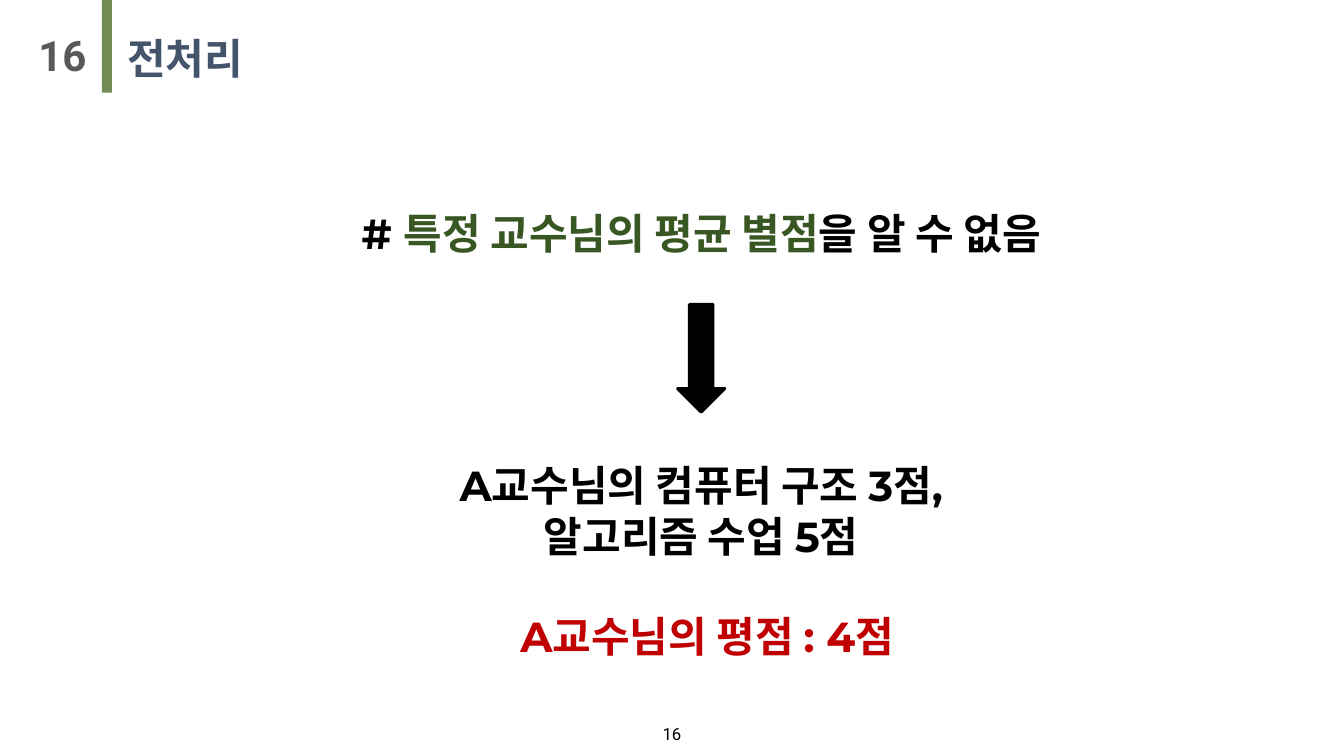
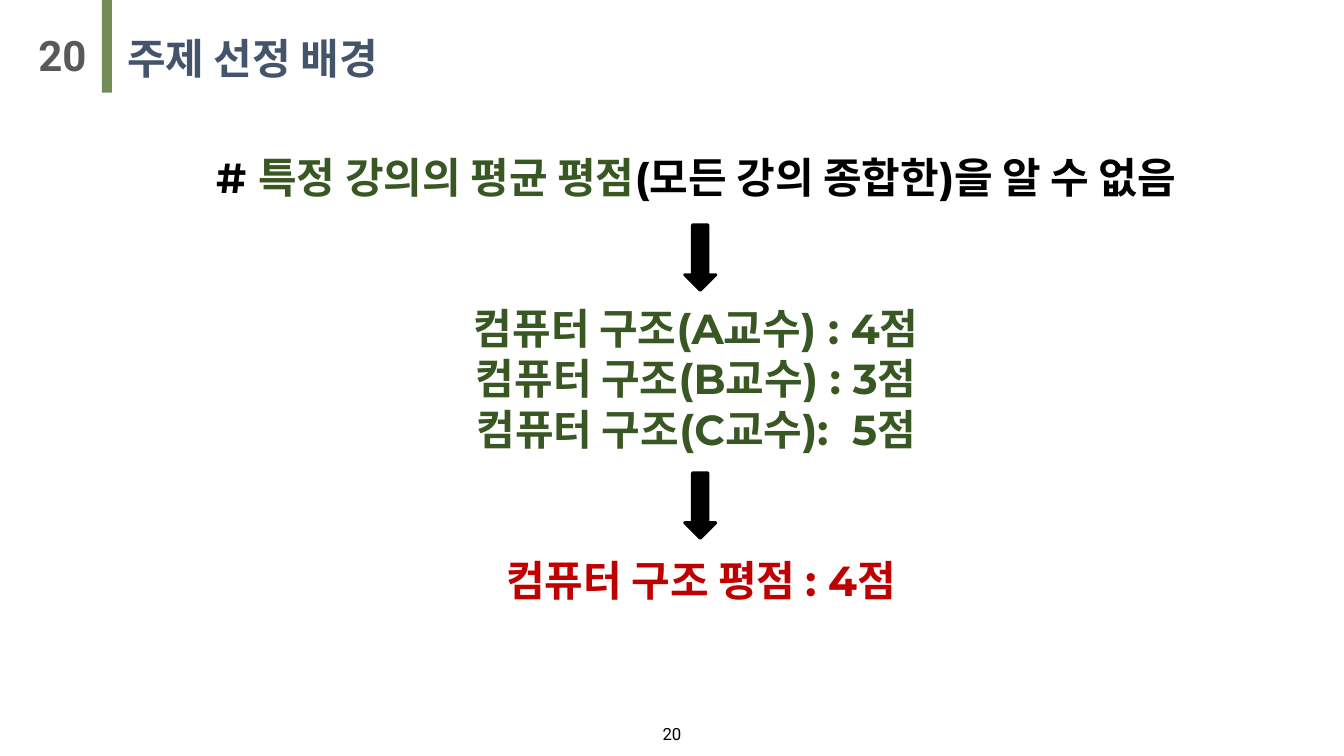
from pptx import Presentation
from pptx.dml.color import RGBColor
from pptx.enum.shapes import MSO_SHAPE
from pptx.enum.text import PP_ALIGN
from pptx.util import Pt

PX = 9144  # EMU in one px, 100 px to the inch
LINE = 36  # pitch of the body lines in points
COLORS = {
    "black": "000000", "green": "385723", "red": "C00000",
    "title": "44546A", "number": "595959", "bar": "728C55",
}
HEAD = {"name": "Montserrat", "size": Pt(30), "bold": True}
COUNT = {"name": "Roboto", "size": Pt(30), "bold": True}
FOOT = {"name": "Roboto", "size": Pt(12), "bold": False}

# Each line: empty lines above it, then its (text, colour) runs.
# Each arrow: left, top, width, height.
SLIDES = [
    {
        "number": "16", "title": "전처리", "body": (106, 204, 1179, 459),
        "lines": [
            (0, [("# ", "black"), ("특정 교수님의 평균 별점", "green"),
                 ("을 알 수 없음", "black")]),
            (4, [("A교수님의 컴퓨터 구조 3점,", "black")]),
            (0, [(" 알고리즘 수업 5점 ", "black")]),
            (1, [(" A교수님의 평점 : 4점", "red")]),
        ],
        "arrows": [(672, 302, 47, 107)],
    },
    {
        "number": "20", "title": "주제 선정 배경", "body": (101, 148, 1179, 459),
        "lines": [
            (0, [("# ", "black"), ("특정 강의의 평균 평점", "green"),
                 ("(모든 강의 종합한)을 알 수 없음", "black")]),
            (2, [("컴퓨터 구조(A교수) : 4점", "green")]),
            (0, [("컴퓨터 구조(B교수) : 3점", "green")]),
            (0, [("컴퓨터 구조(C교수):  5점", "green")]),
            (2, [(" 컴퓨터 구조 평점 : 4점", "red")]),
        ],
        "arrows": [(679, top, 31, 65) for top in (223, 469)],
    },
]


def rgb(name):
    return RGBColor.from_string(COLORS[name])


def scale(box):
    return [n * PX for n in box]


def add_run(para, text, color, style):
    run = para.add_run()
    run.text = text
    for key, value in style.items():
        setattr(run.font, key, value)
    run.font.color.rgb = rgb(color)


def add_frame(slide, box, inset):
    frame = slide.shapes.add_textbox(*scale(box)).text_frame
    frame.word_wrap = True
    for side in ("left", "top", "right", "bottom"):
        setattr(frame, "margin_" + side, inset * PX)
    return frame


def add_label(slide, box, text, color, style, inset=0, align=PP_ALIGN.LEFT):
    para = add_frame(slide, box, inset).paragraphs[0]
    para.alignment = align
    add_run(para, text, color, style)


def add_body(slide, box, lines):
    frame = add_frame(slide, box, 2)
    for i, (gap, runs) in enumerate(lines):
        para = frame.add_paragraph() if i else frame.paragraphs[0]
        para.alignment = PP_ALIGN.CENTER
        para.line_spacing = Pt(LINE)
        if gap:
            para.space_before = Pt(gap * LINE)
        for text, color in runs:
            add_run(para, text, color, HEAD)


def add_solid(slide, kind, box, color):
    shape = slide.shapes.add_shape(kind, *scale(box))
    shape.shadow.inherit = False
    shape.fill.solid()
    shape.fill.fore_color.rgb = rgb(color)
    shape.line.fill.background()
    return shape


def add_arrow(slide, box):
    line = add_solid(slide, MSO_SHAPE.DOWN_ARROW, box, "black").line
    line.color.rgb = rgb("black")
    line.width = Pt(2)


def add_chrome(slide, number, title):
    """Draw the footer, title, bar and number that every slide has."""
    add_label(slide, (644, 715, 45, 25), number, "black", FOOT, 3,
              PP_ALIGN.CENTER)
    add_label(slide, (124, 30, 1018, 56), title, "title", HEAD, 2)
    add_solid(slide, MSO_SHAPE.RECTANGLE, (101, 0, 10, 92), "bar")
    add_label(slide, (38, 29, 60, 50), number, "number", COUNT)


def main():
    deck = Presentation()
    deck.slide_width, deck.slide_height = scale((1333, 750))
    for page in SLIDES:
        slide = deck.slides.add_slide(deck.slide_layouts[6])
        add_chrome(slide, page["number"], page["title"])
        add_body(slide, page["body"], page["lines"])
        for box in page["arrows"]:
            add_arrow(slide, box)
    deck.save("out.pptx")


if __name__ == "__main__":
    main()
